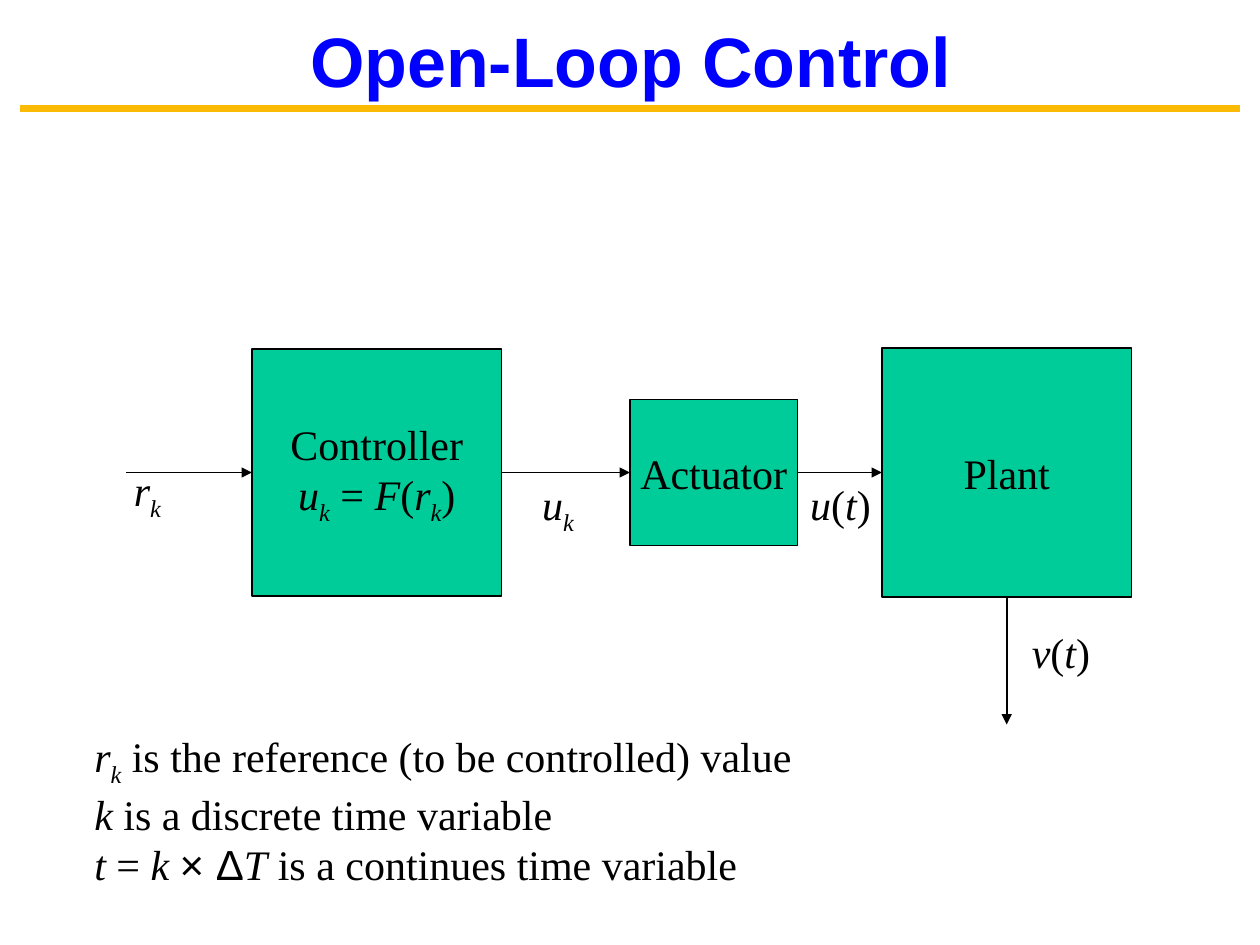
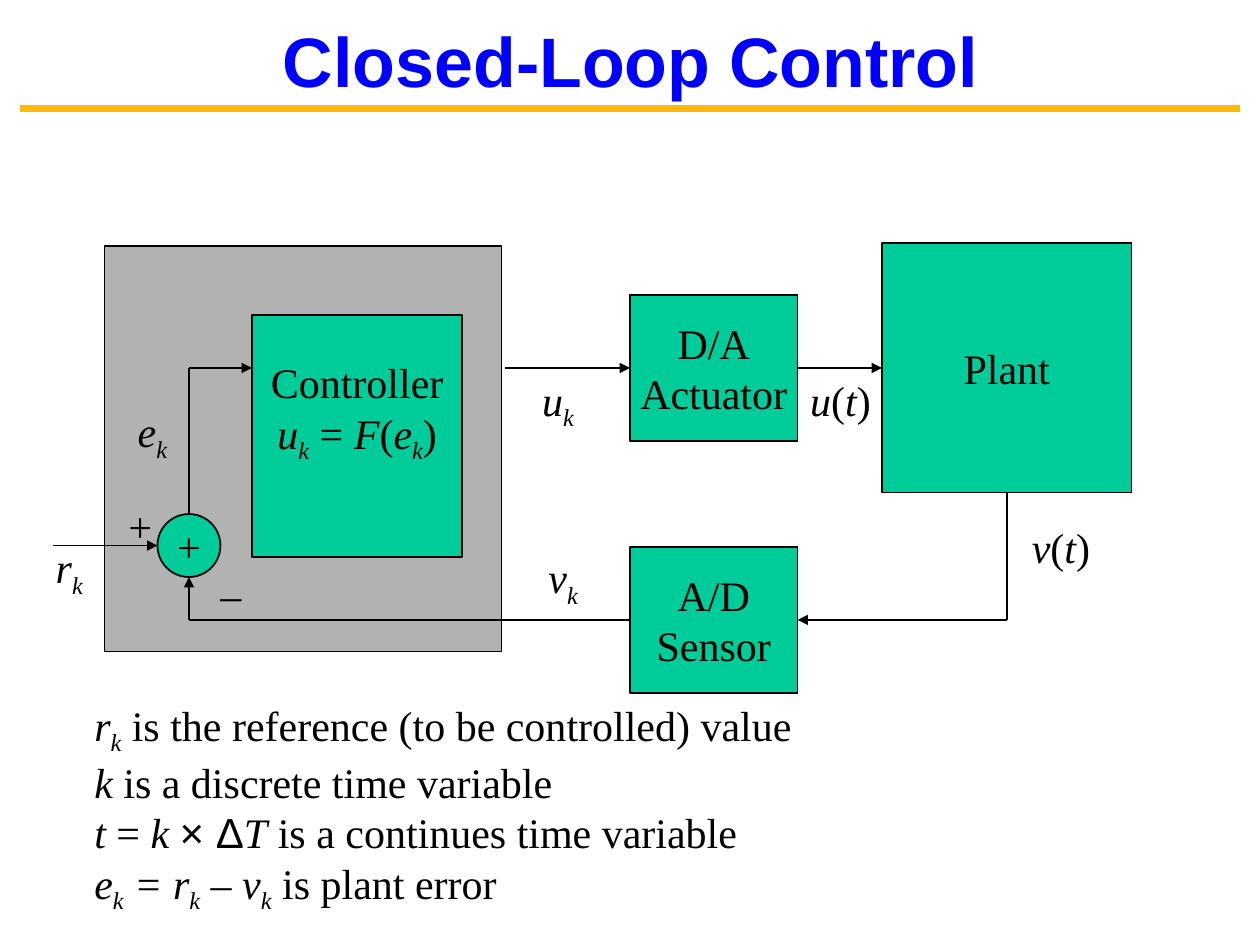
from lxml.etree import SubElement
from pptx import Presentation
from pptx.dml.color import RGBColor
from pptx.enum.shapes import MSO_CONNECTOR as Link, MSO_SHAPE as Preset
from pptx.enum.text import MSO_ANCHOR as Anchor, MSO_AUTO_SIZE as AutoSize, PP_ALIGN as Align
from pptx.oxml.ns import qn
from pptx.util import Inches, Pt

COLOURS = {
    "title": "0000FF",
    "rule": "FBBA03",
    "block": "00CC99",
    "frame": "B2B2B2",
    "ink": "000000",
}
TITLE_FONT, BODY_FONT = "Arial", "Times New Roman"
BODY_SIZE = 24
INDEX_WIDTH = 0.6
TOP, LEFT, BOTTOM, RIGHT = range(4)
PLAIN, ITALIC, SUB, SYMBOL = "plain", "italic", "sub", "symbol"


def colour(name):
    return RGBColor.from_string(COLOURS[name])


def plain(text):
    return [(text, PLAIN)]


def indexed(letter):
    return [(letter, ITALIC), ("k", SUB)]


def signal(letter):
    return [(letter, ITALIC), ("(", PLAIN), ("t", ITALIC), (")", PLAIN)]


def control_law(argument):
    return [plain("Controller"),
            indexed("u") + [(" = ", PLAIN), ("F", ITALIC), ("(", PLAIN)]
            + indexed(argument) + plain(")")]


NOTES = [
    indexed("r") + plain(" is the reference (to be controlled) value"),
    [("k", ITALIC), (" is a discrete time variable", PLAIN)],
    [("t", ITALIC), (" = ", PLAIN), ("k ", ITALIC), ("× Δ", SYMBOL),
     ("T", ITALIC), (" is a continues time variable", PLAIN)],
]
ERROR_NOTE = (indexed("e") + [(" = r", ITALIC), ("k", SUB), (" – ", PLAIN)]
              + indexed("v") + plain(" is plant error"))


def write(frame, lines, align=Align.CENTER):
    for number, line in enumerate(lines):
        para = frame.add_paragraph() if number else frame.paragraphs[0]
        para.alignment = align
        for text, style in line:
            span = para.add_run()
            span.text = text
            font = span.font
            font.name = TITLE_FONT if style == SYMBOL else BODY_FONT
            font.size = Pt(BODY_SIZE)
            font.color.rgb = colour("ink")
            font.italic = style in (ITALIC, SUB)
            if style == SUB:
                font._element.set("baseline", "-25000")


def add_block(page, left, top, width, height, lines=(), fill="block",
              preset=Preset.RECTANGLE):
    box = page.shapes.add_shape(preset, *map(Inches, (left, top, width, height)))
    box.shadow.inherit = False
    box.fill.solid()
    box.fill.fore_color.rgb = colour(fill)
    box.line.color.rgb = colour("ink")
    box.line.width = Pt(1)
    box.text_frame.word_wrap = False
    box.text_frame.vertical_anchor = Anchor.MIDDLE
    write(box.text_frame, lines)
    return box


def add_label(page, left, top, width, height, lines, align=Align.CENTER, wrap=False):
    box = page.shapes.add_textbox(*map(Inches, (left, top, width, height)))
    box.text_frame.word_wrap = wrap
    box.text_frame.auto_size = AutoSize.SHAPE_TO_FIT_TEXT
    write(box.text_frame, lines, align)


def add_index_label(page, center, top, letter):
    add_label(page, center - INDEX_WIDTH / 2, top, INDEX_WIDTH, 0.56,
              [indexed(letter)])


def add_line(page, start, end, arrow=False, begin=None, finish=None,
             ink="ink", weight=1):
    line = page.shapes.add_connector(Link.STRAIGHT, *map(Inches, (*start, *end)))
    line.line.color.rgb = colour(ink)
    line.line.width = Pt(weight)
    if begin:
        line.begin_connect(*begin)
    if finish:
        line.end_connect(*finish)
    if arrow:
        SubElement(line.line._get_or_add_ln(), qn("a:tailEnd"), type="triangle")
    SubElement(line._element.spPr, qn("a:effectLst"))


def add_page(deck, title):
    page = deck.slides.add_slide(deck.slide_layouts[6])
    add_line(page, (0.16, 0.86), (9.84, 0.86), ink="rule", weight=3.75)
    box = page.shapes.add_textbox(*map(Inches, (0.19, 0.14, 9.63, 0.67)))
    box.text_frame.word_wrap = True
    box.text_frame.vertical_anchor = Anchor.MIDDLE
    para = box.text_frame.paragraphs[0]
    para.alignment = Align.CENTER
    span = para.add_run()
    span.text = title
    span.font.name = TITLE_FONT
    span.font.size = Pt(40)
    span.font.bold = True
    span.font.color.rgb = colour("title")
    return page


def draw_forward_path(page, left, axis, actuator_lines, controller=None,
                      output_arrow=False):
    actuator = add_block(page, left + 1, axis - 0.58, 1.33, 1.16, actuator_lines)
    plant = add_block(page, left + 3, axis - 0.99, 1.98, 1.98, [plain("Plant")])
    add_line(page, (left + 0.01, axis), (left + 1, axis), True,
             begin=controller and (controller, RIGHT), finish=(actuator, LEFT))
    add_line(page, (left + 2.33, axis), (left + 3, axis), True,
             begin=(actuator, RIGHT), finish=(plant, LEFT))
    add_line(page, (left + 3.99, axis + 1), (left + 3.99, axis + 2), output_arrow,
             begin=(plant, BOTTOM))
    add_index_label(page, left + 0.43, axis, "u")
    add_label(page, left + 2.33, axis, 0.68, 0.5, [signal("u")])
    add_label(page, left + 4.09, axis + 1.17, 0.66, 0.5, [signal("v")])


def draw_open_controller(page, left, axis):
    controller = add_block(page, left + 1, axis - 0.98, 1.98, 1.96, control_law("r"))
    add_line(page, (left, axis), (left + 1, axis), True, finish=(controller, LEFT))
    add_index_label(page, left + 0.17, axis - 0.11, "r")
    return controller


def draw_closed_controller(page, left, axis):
    add_block(page, left, axis - 0.97, 3.15, 3.22, fill="frame")
    controller = add_block(page, left + 1.17, axis - 0.42, 1.67, 1.92, control_law("e"))
    controller.text_frame.margin_bottom = Inches(0.45)
    hub, level = left + 0.67, axis + 1.41
    add_block(page, hub - 0.25, level - 0.25, 0.5, 0.5, [plain("+")],
              preset=Preset.OVAL)
    add_line(page, (left - 0.41, level), (hub - 0.25, level), True)
    add_line(page, (hub, level - 0.25), (hub, axis))
    add_line(page, (hub, axis), (left + 1.17, axis), True)
    add_line(page, (hub, axis + 2), (hub, level + 0.25), True)
    add_index_label(page, left - 0.28, level - 0.08, "r")
    add_index_label(page, left + 0.38, axis + 0.25, "e")
    add_label(page, left + 0.82, level + 0.13, 0.36, 0.5, [plain("–")], Align.LEFT)
    add_label(page, left + 0.09, level - 0.41, 0.39, 0.5, [plain("+")], Align.LEFT)


def draw_feedback(page, left, level):
    sensor = add_block(page, left + 3.5, level - 0.58, 1.33, 1.16,
                       [plain("A/D"), plain("Sensor")])
    add_line(page, (left + 6.49, level), (left + 4.83, level), True,
             finish=(sensor, RIGHT))
    add_line(page, (left + 3.5, level), (left, level), begin=(sensor, LEFT))
    add_index_label(page, left + 2.97, level - 0.59, "v")


def draw_notes(page, top, height, lines):
    add_label(page, 0.65, top, 5.74, height, lines, Align.LEFT, wrap=True)


def build_open_loop(deck):
    page = add_page(deck, "Open-Loop Control")
    axis = 3.75
    controller = draw_open_controller(page, 1, axis)
    draw_forward_path(page, 4, axis, [plain("Actuator")], controller, True)
    draw_notes(page, 5.75, 1.36, NOTES)


def build_closed_loop(deck):
    page = add_page(deck, "Closed-Loop Control")
    axis = 2.92
    draw_closed_controller(page, 0.83, axis)
    draw_forward_path(page, 4, axis, [plain("D/A"), plain("Actuator")])
    draw_feedback(page, 1.5, axis + 2)
    draw_notes(page, 5.5, 1.81, NOTES + [ERROR_NOTE])


def main():
    deck = Presentation()
    deck.slide_width, deck.slide_height = Inches(10), Inches(7.5)
    build_open_loop(deck)
    build_closed_loop(deck)
    deck.save("out.pptx")


if __name__ == "__main__":
    main()
